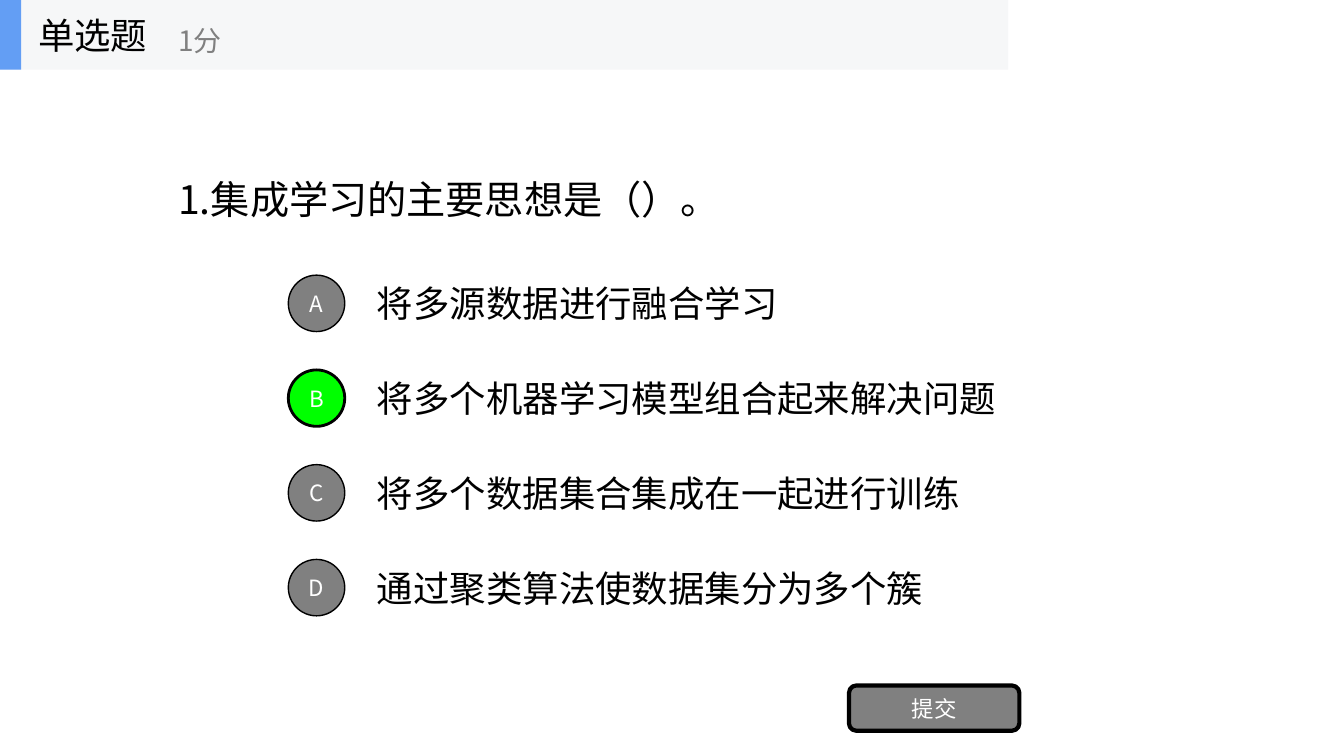
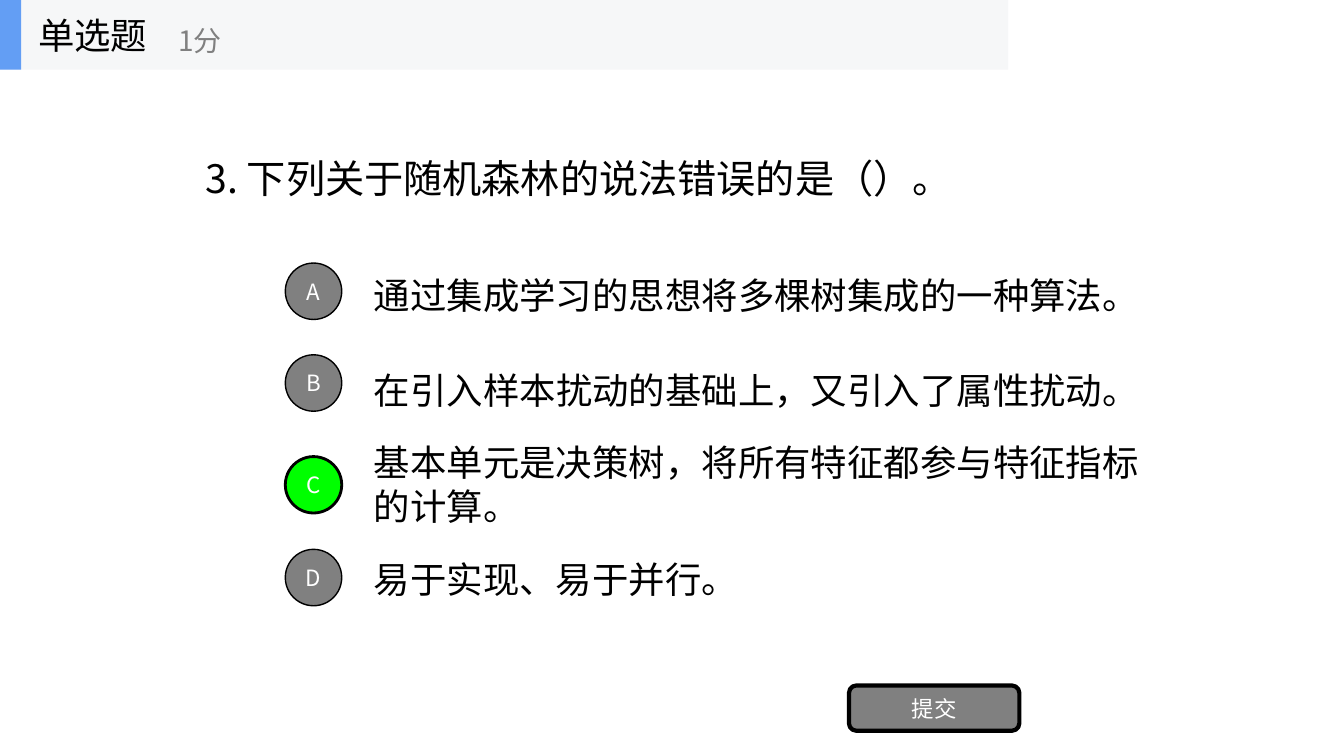
from lxml import etree
from pptx import Presentation
from pptx.dml.color import RGBColor
from pptx.enum.shapes import MSO_SHAPE
from pptx.enum.text import MSO_ANCHOR, PP_ALIGN
from pptx.oxml.ns import qn
from pptx.util import Inches, Pt

RECT = MSO_SHAPE.RECTANGLE
ROUND = MSO_SHAPE.ROUNDED_RECTANGLE
OVAL = MSO_SHAPE.OVAL
MIDDLE = MSO_ANCHOR.MIDDLE
LEFT, CENTER = PP_ALIGN.LEFT, PP_ALIGN.CENTER

FONT = "Noto Sans CJK SC"
BLACK = RGBColor(0x00, 0x00, 0x00)
WHITE = RGBColor(0xFF, 0xFF, 0xFF)
GRAY = RGBColor(0x80, 0x80, 0x80)
GREEN = RGBColor(0x00, 0xFF, 0x00)
BAND = RGBColor(0xF6, 0xF7, 0xF8)
ACCENT = RGBColor(0x63, 0x9E, 0xF4)

BADGE = 0.56
OPTION_HEIGHT = 0.7
OPTION_INDENT = 0.78


def add_text(shapes, box, text, size, color=BLACK):
    label = shapes.add_textbox(*map(Inches, box))
    write(label.text_frame, text, size, color, LEFT)


def write(frame, text, size, color, align):
    frame.word_wrap = True
    frame.vertical_anchor = MIDDLE
    frame.text = text
    paragraph = frame.paragraphs[0]
    paragraph.alignment = align
    run = paragraph.runs[0]
    run.font.name = FONT
    run.font.size = Pt(size)
    run.font.color.rgb = color
    east_asian = etree.SubElement(run.font._element, qn("a:ea"))
    east_asian.set("typeface", FONT)


questions = [
    {
        "text": "1.集成学习的主要思想是（）。",
        "box": (1.67, 0.8, 9.26, 2.34),
        "badge_left": 2.86,
        "answer": "B",
        "options": [
            ("A", "将多源数据进行融合学习", 2.73, 2.66, 7),
            ("B", "将多个机器学习模型组合起来解决问题", 3.67, 3.6, 7),
            ("C", "将多个数据集合集成在一起进行训练", 4.61, 4.54, 7),
            ("D", "通过聚类算法使数据集分为多个簇", 5.55, 5.48, 7),
        ],
    },
    {
        "text": "3. 下列关于随机森林的说法错误的是（）。",
        "box": (1.94, 0.59, 11.03, 2.34),
        "badge_left": 2.83,
        "answer": "C",
        "options": [
            ("A", "通过集成学习的思想将多棵树集成的一种算法。", 2.61, 2.58, 8.24),
            ("B", "在引入样本扰动的基础上，又引入了属性扰动。", 3.52, 3.52, 8.92),
            ("C", "基本单元是决策树，将所有特征都参与特征指标的计算。", 4.53, 4.45, 8.03),
            ("D", "易于实现、易于并行。", 5.45, 5.39, 7),
        ],
    },
]

prs = Presentation()
prs.slide_width = Inches(13.33)
prs.slide_height = Inches(7.5)

for question in questions:
    slide = prs.slides.add_slide(prs.slide_layouts[6])
    add_text(slide.shapes, question["box"], question["text"], 28)

    buttons = [(ROUND, (8.42, 6.8, 1.69, 0.45), "提交", GRAY, 3)]
    badge_left = question["badge_left"]
    for letter, option, badge_top, option_top, option_width in question["options"]:
        option_box = (badge_left + OPTION_INDENT, option_top, option_width, OPTION_HEIGHT)
        add_text(slide.shapes, option_box, option, 26)
        fill, border = (GREEN, 2) if letter == question["answer"] else (GRAY, 1)
        buttons.append((OVAL, (badge_left, badge_top, BADGE, BADGE), letter, fill, border))

    for outline, box, caption, fill, border in buttons:
        button = slide.shapes.add_shape(outline, *map(Inches, box))
        button.shadow.inherit = False
        button.fill.solid()
        button.fill.fore_color.rgb = fill
        button.line.color.rgb = BLACK
        button.line.width = Pt(border)
        frame = button.text_frame
        frame.margin_left = frame.margin_right = 0
        frame.margin_top = frame.margin_bottom = 0
        write(frame, caption, 16, WHITE, CENTER)

    header = slide.shapes.add_group_shape()
    for width, fill in ((10, BAND), (0.21, ACCENT)):
        bar = header.shapes.add_shape(RECT, 0, 0, Inches(width), Inches(0.69))
        bar.shadow.inherit = False
        bar.fill.solid()
        bar.fill.fore_color.rgb = fill
        bar.line.fill.background()
    add_text(header.shapes, (0.28, 0, 2.08, 0.69), "单选题", 26)
    add_text(header.shapes, (1.67, 0.12, 2.5, 0.56), "1分", 20, GRAY)

prs.save("out.pptx")
